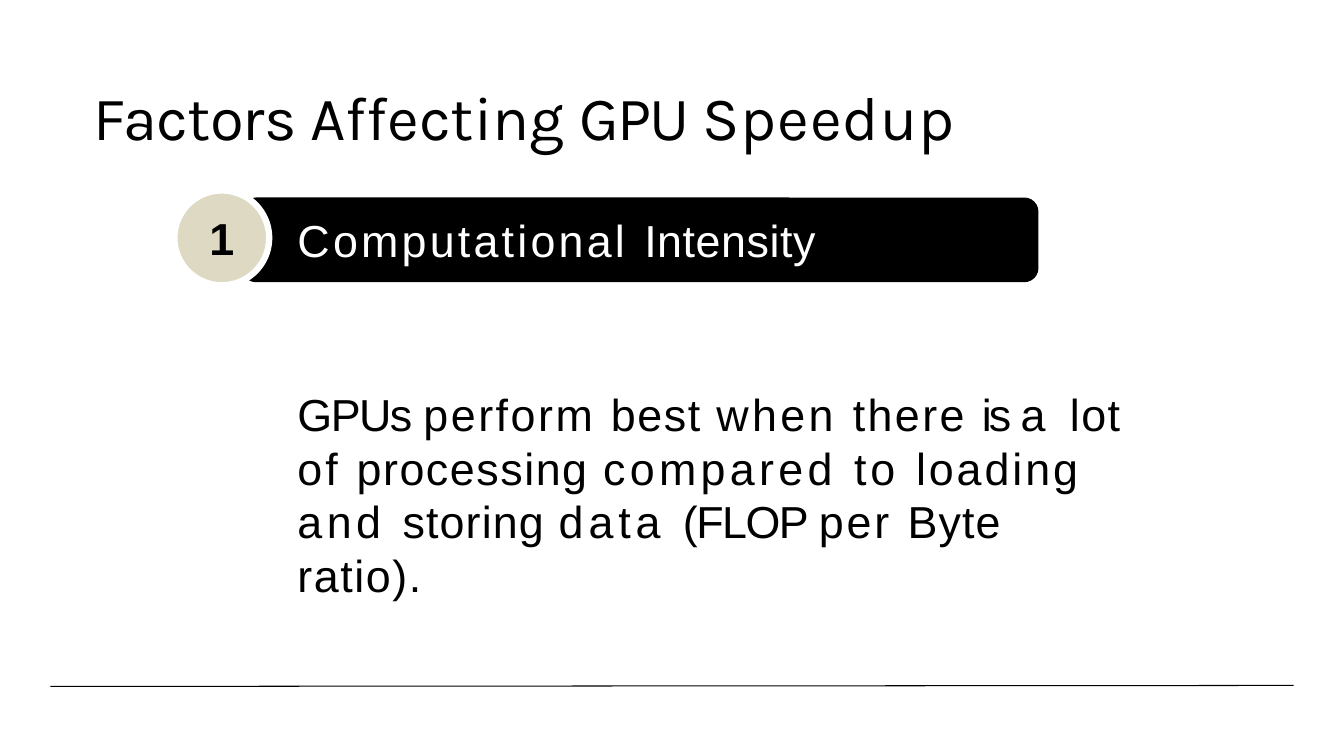
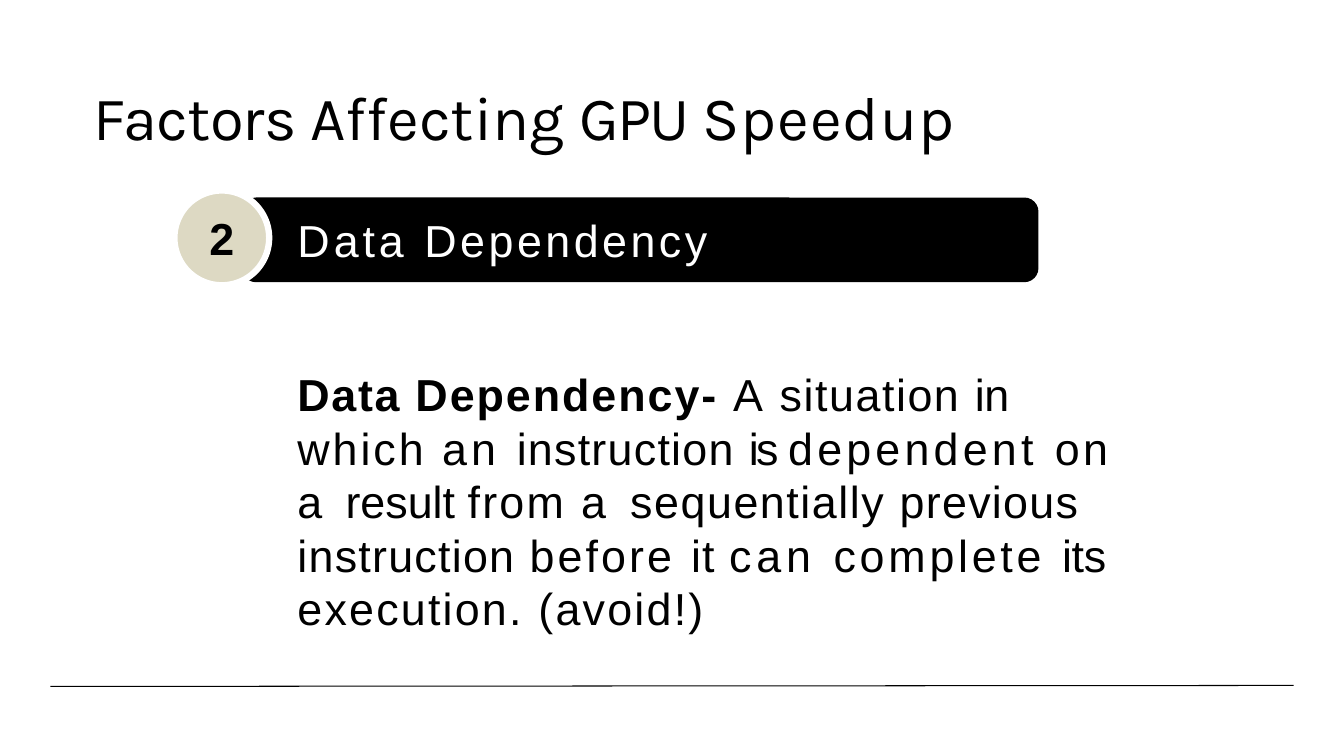
from dataclasses import dataclass
from lxml.etree import SubElement
from pptx import Presentation
from pptx.dml.color import RGBColor
from pptx.enum.shapes import MSO_CONNECTOR, MSO_SHAPE
from pptx.enum.text import MSO_ANCHOR, PP_ALIGN
from pptx.oxml.ns import qn
from pptx.util import Pt

UNIT = 9144  # EMU in one px, 100 px to the inch


def px(n):
    return n * UNIT


@dataclass(frozen=True)
class Theme:
    ink: RGBColor = RGBColor(0, 0, 0)
    paper: RGBColor = RGBColor(255, 255, 255)
    sand: RGBColor = RGBColor(0xDD, 0xD9, 0xC3)
    head: str = "Karla"
    body: str = "Arial"
    large: int = 44
    text: int = 32
    pitch: float = 38.3
    rule: float = 0.75
    ring: float = 4.5


class Deck:
    def __init__(self, theme):
        self.theme = theme
        self.show = Presentation()
        self.show.slide_width, self.show.slide_height = px(1333), px(750)
        self.slide = None

    def page(self):
        self.slide = self.show.slides.add_slide(self.show.slide_layouts[6])

    def label(self, shape, runs, font, size, color, left=0, anchor=MSO_ANCHOR.MIDDLE):
        """Fill a shape with (text, letter spacing in points, bold) runs."""
        frame = shape.text_frame
        frame.word_wrap = True
        frame.vertical_anchor = anchor
        frame.margin_left = px(left)
        frame.margin_top = frame.margin_right = frame.margin_bottom = 0
        para = frame.paragraphs[0]
        para.alignment = PP_ALIGN.LEFT
        for words, gap, *bold in runs:
            run = para.add_run()
            run.text = words
            run.font.name, run.font.size = font, Pt(size)
            run.font.color.rgb = color
            run.font.bold = bool(bold)
            run._r.get_or_add_rPr().set("spc", str(round(gap * 100)))
        return para

    def shape(self, kind, x, y, w, h, fill):
        item = self.slide.shapes.add_shape(kind, px(x), px(y), px(w), px(h))
        item.shadow.inherit = False
        item.fill.solid()
        item.fill.fore_color.rgb = fill
        item.line.fill.background()
        return item

    def rule(self):
        line = self.slide.shapes.add_connector(
            MSO_CONNECTOR.STRAIGHT, px(50), px(681), px(1283), px(680))
        line.line.color.rgb = self.theme.ink
        line.line.width = Pt(self.theme.rule)
        SubElement(line._element.spPr, qn("a:effectLst"))

    def title(self, runs):
        box = self.slide.shapes.add_textbox(px(92), px(42), px(1150), px(145))
        self.label(box, runs, self.theme.head, self.theme.large, self.theme.ink, 1)

    def bar(self, runs):
        bar = self.shape(MSO_SHAPE.ROUNDED_RECTANGLE, 240, 196, 790, 84, self.theme.ink)
        self.label(bar, runs, self.theme.body, self.theme.text, self.theme.paper, 51)

    def badge(self, mark):
        disc = self.shape(MSO_SHAPE.OVAL, 173, 189, 94, 94, self.theme.sand)
        disc.line.color.rgb = self.theme.paper
        disc.line.width = Pt(self.theme.ring)
        para = self.label(disc, [(mark, -0.5, True)], self.theme.body,
                          self.theme.text, self.theme.ink)
        para.alignment = PP_ALIGN.CENTER

    def prose(self, y, h, runs):
        box = self.slide.shapes.add_textbox(px(294), px(y), px(828), px(h))
        para = self.label(box, runs, self.theme.body, self.theme.text,
                          self.theme.ink, 1, MSO_ANCHOR.TOP)
        para.line_spacing = Pt(self.theme.pitch)


TITLE = [("Factors ", -0.6), ("Affecting ", 0), ("GPU ", -1.4), ("Speedup", 0.7)]

# Each factor: bar heading, top and height of the prose, prose
FACTORS = [
    ([("Computational ", 2.3), ("Intensity", 0.4)], 384, 160, [
        ("GPUs ", -1.1), ("perform ", 1.8), ("best ", 1.2), ("when ", 2.4),
        ("there ", 1.7), ("is ", -2.2), ("a ", 4.2), ("lot ", 1.1), ("of ", 2.2),
        ("processing ", 1.1), ("compared ", 3.1), ("to ", 2.9), ("loading ", 2.1),
        ("and ", 3.2), ("storing ", 0.8), ("data ", 3.5), ("(FLOP ", -1.1),
        ("per ", 2), ("Byte ", 0.8), ("ratio).", 1.1)]),
    ([("Data ", 2.8), ("Dependency", 2.5)], 364, 267, [
        ("Data ", 1.2, True), ("Dependency- ", 1.4, True), ("A ", 2.4),
        ("situation ", 1.1), ("in ", -0.2), ("which ", 2.1), ("an ", 2.9),
        ("instruction ", 0.9), ("is ", -2), ("dependent ", 3), ("on ", 2.5),
        ("a ", 3.8), ("result ", 0), ("from ", 1.6), ("a ", 4.2),
        ("sequentially ", 1.1), ("previous instruction ", 0.9), ("before ", 2.2),
        ("it ", 0.8), ("can ", 3.5), ("complete ", 2.7), ("its ", -0.2),
        ("execution. (avoid!)", 1.6)]),
]


def main():
    deck = Deck(Theme())
    for mark, (name, top, height, prose) in enumerate(FACTORS, 1):
        deck.page()
        deck.rule()
        deck.title(TITLE)
        deck.bar(name)
        deck.badge(str(mark))
        deck.prose(top, height, prose)
    deck.show.save("out.pptx")


if __name__ == "__main__":
    main()
